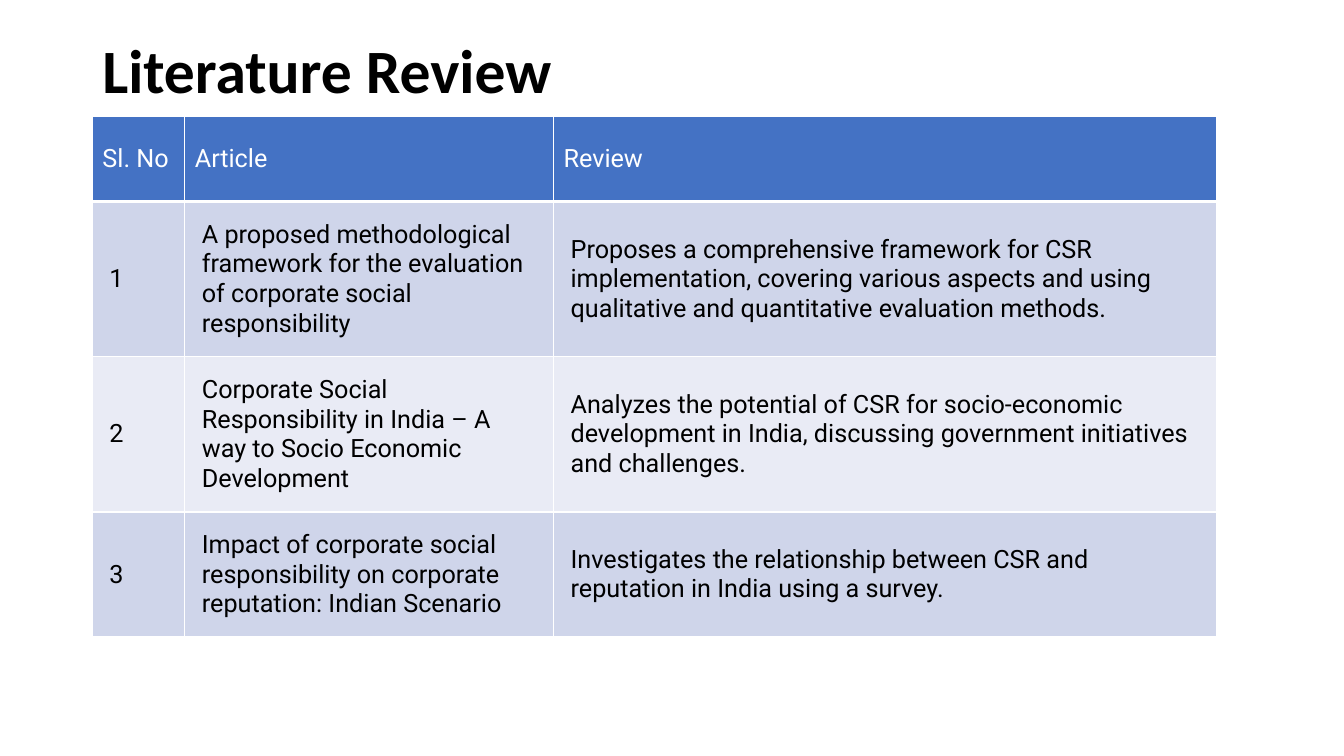
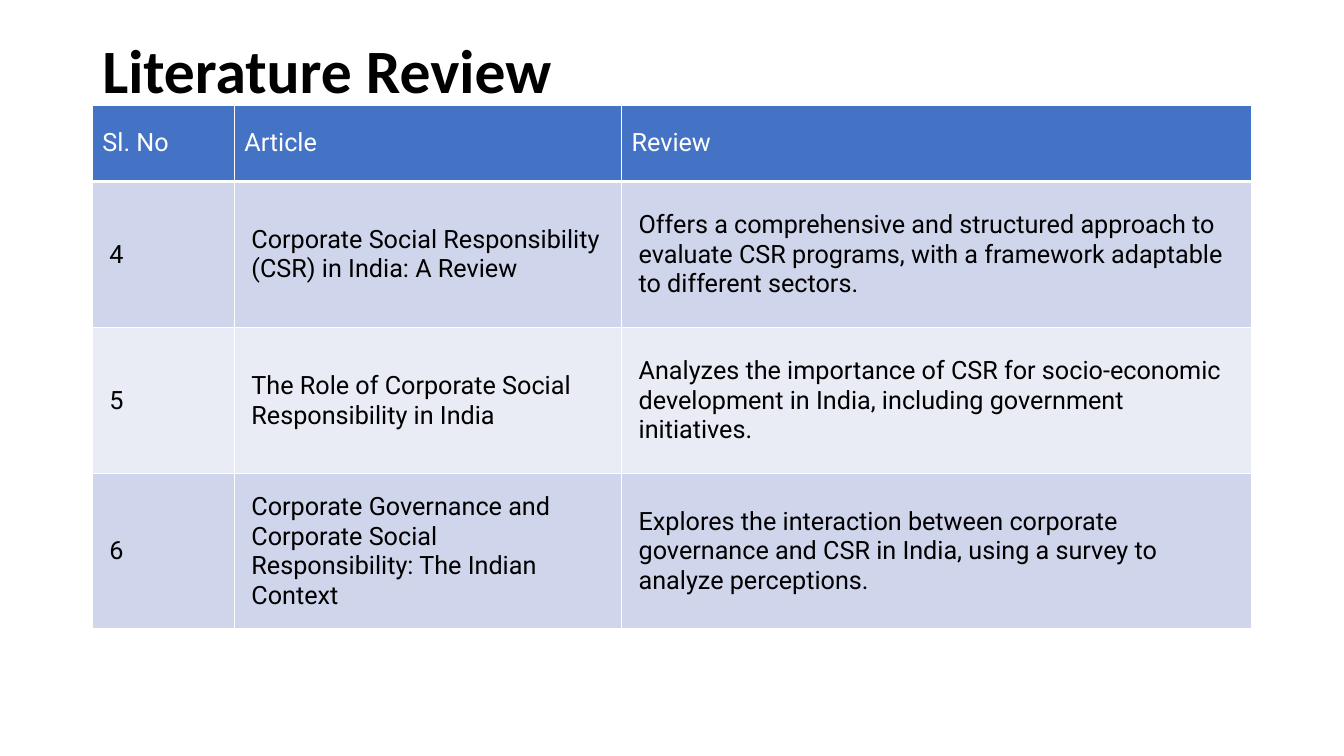
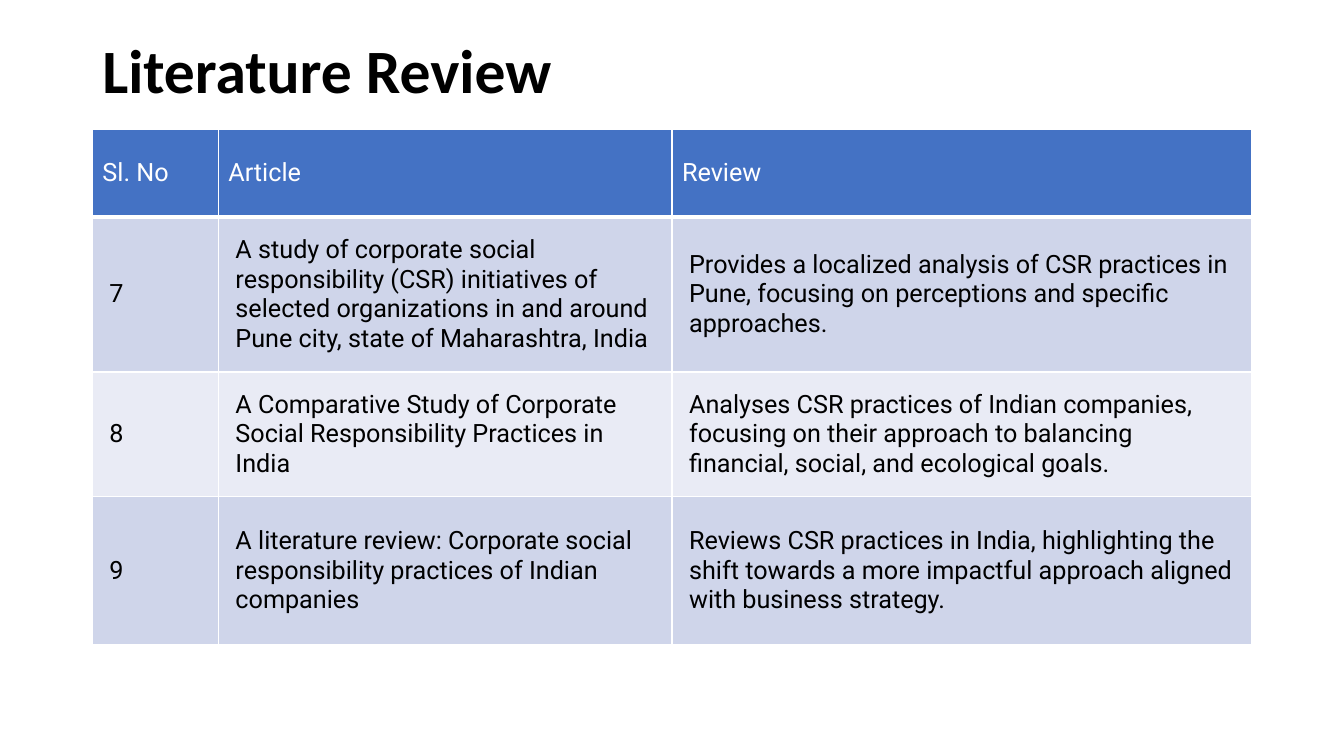
import pptx
import pptx.util
import pptx.dml.color
import pptx.enum.text
import pptx.oxml
import pptx.oxml.ns

RGBColor = pptx.dml.color.RGBColor
WHITE = RGBColor(0xFF, 0xFF, 0xFF)
BLACK = RGBColor(0x00, 0x00, 0x00)
BLUE = RGBColor(0x44, 0x72, 0xC4)
BANDS = [RGBColor(0xCF, 0xD5, 0xEA), RGBColor(0xE9, 0xEB, 0xF5)]

COLS, ROWS = 160, 90
UNIT = pptx.util.Inches(7.5) // ROWS
LEFT = 11
MIDDLE = pptx.enum.text.MSO_ANCHOR.MIDDLE
PAD = pptx.util.Inches(0.17)
INSET = {f"margin_{side}": PAD for side in ("left", "right", "top", "bottom")}

TITLE = "Literature Review"
TITLE_BOX = (LEFT, 0, 138, 17.4)
TITLE_FONT = {"name": "Calibri", "size": pptx.util.Pt(44), "bold": True}
CELL_FONT = {"name": "Roboto", "size": pptx.util.Pt(18), "bold": False}
HEADS = ("Sl. No", "Article", "Review")

PAGES = [
    {
        "top": 13.8,
        "cols": (11, 43.9, 78.9),
        "rows": (10.2, 17.4, 16.8, 14.2),
        "items": [
            ("A proposed methodological framework for the evaluation of corporate social responsibility",
             "Proposes a comprehensive framework for CSR implementation, covering various aspects and using qualitative and quantitative evaluation methods."),
            ("Corporate Social Responsibility in India – A way to Socio Economic Development",
             "Analyzes the potential of CSR for socio-economic development in India, discussing government initiatives and challenges."),
            ("Impact of corporate social responsibility on corporate reputation: Indian Scenario",
             "Investigates the relationship between CSR and reputation in India using a survey."),
        ],
    },
    {
        "top": 12.5,
        "cols": (16.9, 46.1, 75),
        "rows": (9.1, 17.4, 17.4, 16.1),
        "items": [
            ("Corporate Social Responsibility (CSR) in India: A Review",
             "Offers a comprehensive and structured approach to evaluate CSR programs, with a framework adaptable to different sectors."),
            ("The Role of Corporate Social Responsibility in India",
             "Analyzes the importance of CSR for socio-economic development in India, including government initiatives."),
            ("Corporate Governance and Corporate Social Responsibility: The Indian Context",
             "Explores the interaction between corporate governance and CSR in India, using a survey to analyze perceptions."),
        ],
    },
    {
        "top": 15.4,
        "cols": (15, 54, 69),
        "rows": (10.4, 17, 14.6, 17.6),
        "items": [
            ("A study of corporate social responsibility (CSR) initiatives of selected organizations in and around Pune city, state of Maharashtra, India",
             "Provides a localized analysis of CSR practices in Pune, focusing on perceptions and specific approaches."),
            ("A Comparative Study of Corporate Social Responsibility Practices in India",
             "Analyses CSR practices of Indian companies, focusing on their approach to balancing financial, social, and ecological goals."),
            ("A literature review: Corporate social responsibility practices of Indian companies",
             "Reviews CSR practices in India, highlighting the shift towards a more impactful approach aligned with business strategy."),
        ],
    },
]


def span(count):
    return pptx.util.Emu(round(count * UNIT))


def apply(item, form):
    for key, value in form.items():
        setattr(item, key, value)


def write(para, text, form, color):
    run = para.add_run()
    run.text = text
    apply(run.font, form)
    run.font.color.rgb = color


def edge(cell, side, width):
    props = cell._tc.get_or_add_tcPr()
    props.append(pptx.oxml.parse_xml(
        f'<a:ln{side} {pptx.oxml.ns.nsdecls("a")} w="{pptx.util.Pt(width)}">'
        f'<a:solidFill><a:srgbClr val="{WHITE}"/></a:solidFill></a:ln{side}>'))


def add_title(slide, box):
    frame = slide.shapes.add_textbox(*map(span, box)).text_frame
    apply(frame, {"word_wrap": True, "vertical_anchor": MIDDLE})
    para = frame.paragraphs[0]
    para.line_spacing = 0.9
    write(para, TITLE, TITLE_FONT, BLACK)


def fill_cell(cell, text, row):
    head = row == 0
    edges = {"L": 1, "R": 1, "T": 3 if row == 1 else 1, "B": 3 if head else 1}
    for side, width in edges.items():
        edge(cell, side, width)
    cell.fill.solid()
    cell.fill.fore_color.rgb = BLUE if head else BANDS[(row - 1) % 2]
    cell.vertical_anchor = MIDDLE
    if not head:
        apply(cell, INSET)
    write(cell.text_frame.paragraphs[0], text, CELL_FONT, WHITE if head else BLACK)


def add_grid(slide, box, cols, rows, lines):
    table = slide.shapes.add_table(len(rows), len(cols), *map(span, box)).table
    apply(table, {"first_row": False, "horz_banding": False})
    for col, width in zip(table.columns, cols):
        col.width = span(width)
    for row, height in zip(table.rows, rows):
        row.height = span(height)
    for row, line in enumerate(lines):
        for col, text in enumerate(line):
            fill_cell(table.cell(row, col), text, row)


def add_page(deck, page, first):
    slide = deck.slides.add_slide(deck.slide_layouts[6])
    add_title(slide, TITLE_BOX)
    cols, rows = page["cols"], page["rows"]
    lines = [HEADS]
    for number, item in enumerate(page["items"], first):
        lines.append((str(number), *item))
    add_grid(slide, (LEFT, page["top"], sum(cols), sum(rows)), cols, rows, lines)


def main():
    deck = pptx.Presentation()
    apply(deck, {"slide_width": span(COLS), "slide_height": span(ROWS)})
    first = 1
    for page in PAGES:
        add_page(deck, page, first)
        first += len(page["items"])
    deck.save("out.pptx")


if __name__ == "__main__":
    main()
